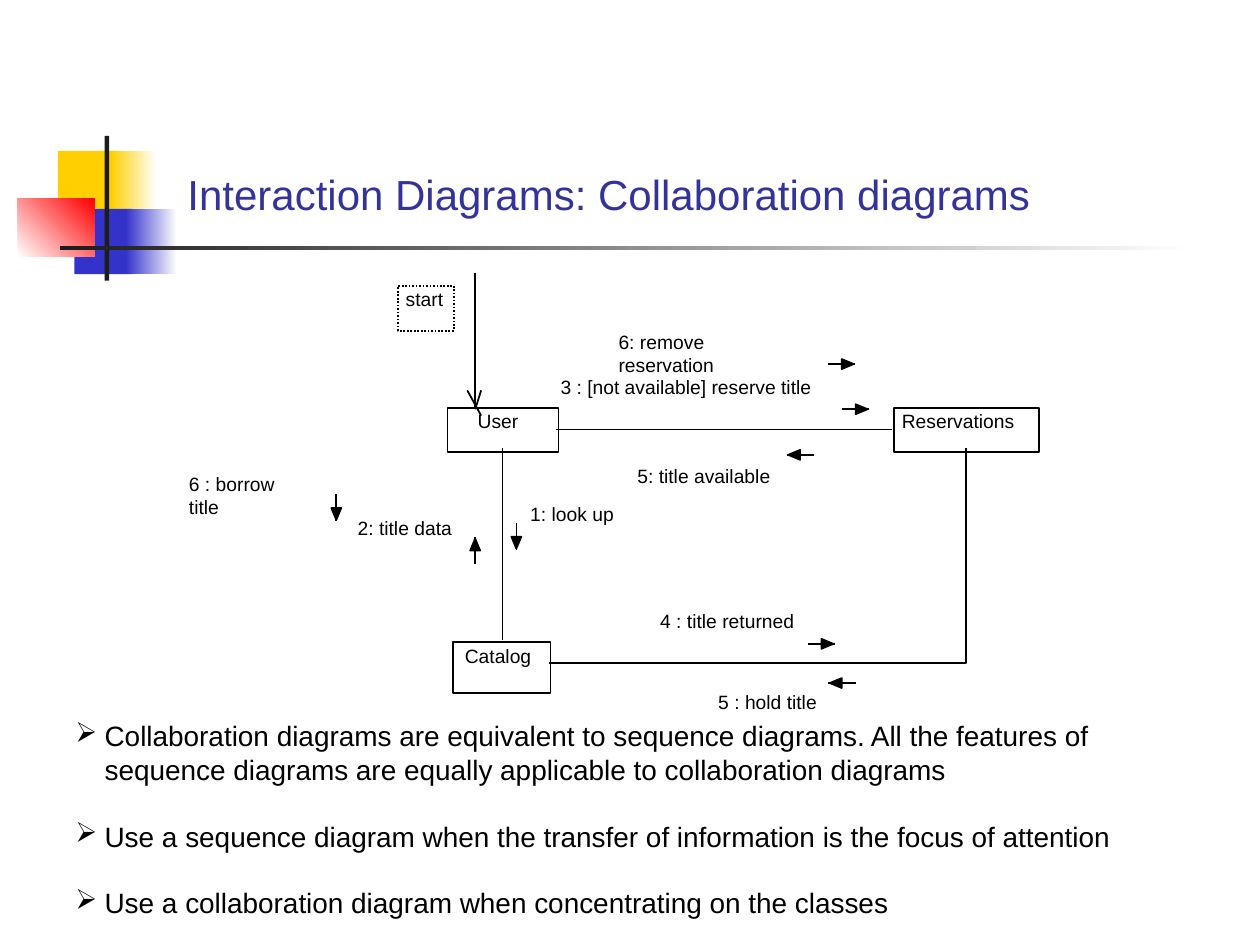
from lxml.etree import SubElement
from pptx import Presentation
from pptx.dml.color import RGBColor
from pptx.enum.dml import MSO_LINE
from pptx.enum.shapes import MSO_CONNECTOR, MSO_SHAPE
from pptx.enum.text import MSO_ANCHOR, PP_ALIGN
from pptx.oxml.ns import qn
from pptx.util import Cm, Pt

BLACK = RGBColor(0x00, 0x00, 0x00)
WHITE = RGBColor(0xFF, 0xFF, 0xFF)
YELLOW = RGBColor(0xFF, 0xCF, 0x01)
BLUE = RGBColor(0x33, 0x33, 0xCC)
RED = RGBColor(0xFF, 0x00, 0x00)
CHARCOAL = RGBColor(0x1C, 0x1C, 0x1C)
NAVY = RGBColor(0x33, 0x33, 0x99)

RIGHT, LEFT, DOWN, UP = (1, 0), (-1, 0), (0, 1), (0, -1)

ORNAMENTS = [
    (0.81, 0.3, 1.22, 1.32, YELLOW, None),
    (1.88, 0.3, 0.91, 1.32, YELLOW, 180),
    (1.14, 1.47, 1.17, 1.32, BLUE, None),
    (2.18, 1.47, 1.02, 1.32, BLUE, 180),
    (0, 1.27, 1.55, 1.17, RED, 45),
    (1.75, 0, 0.09, 2.92, CHARCOAL, None),
    (0.86, 2.21, 22.86, 0.09, CHARCOAL, 180),
]
NODES = [
    ("User", 5.21, 2.72, 2.24, 0.89, 0.61, MSO_LINE.SOLID),
    ("Catalog", 5.33, 7.44, 1.96, 1.02, 0.23, MSO_LINE.SOLID),
    ("Reservations", 14.22, 2.72, 2.92, 0.89, 0.15, MSO_LINE.SOLID),
    ("start", 4.22, 0.25, 1.12, 0.91, 0.15, MSO_LINE.ROUND_DOT),
]
LINKS = [
    ((5.77, 0), (5.77, 2.74)),
    ((5.61, 2.36), (5.89, 2.87)),
    ((5.89, 2.36), (5.77, 2.74)),
    ((6.32, 3.53), (6.32, 7.39)),
    ((7.39, 3.15), (14.17, 3.15)),
]
CATALOG_TO_RESERVATIONS = [(7.26, 7.85), (15.67, 7.85), (15.67, 3.53)]
MESSAGES = [
    ("1: look up", 6.88, 4.62, 1.7, (6.6, 5.03), DOWN),
    ("2: title data", 3.4, 4.9, 1.91, (5.77, 5.87), UP),
    ("3 : [not available] reserve title", 7.49, 2.06, 5.08, (13.16, 2.74), RIGHT),
    ("4 : title returned", 9.5, 6.78, 2.72, (12.47, 7.47), RIGHT),
    ("5 : hold title", 10.67, 8.41, 2.01, (13.44, 8.26), LEFT),
    ("6 : borrow title", 0, 4.01, 2.44, (2.97, 4.45), DOWN),
    ("6: remove reservation", 8.66, 1.14, 3.76, (12.88, 1.83), RIGHT),
    ("5: title available", 9.04, 3.84, 2.69, (12.6, 3.66), LEFT),
]
POINTS = [
    "Collaboration diagrams are equivalent to sequence diagrams. All the features of "
    "sequence diagrams are equally applicable to collaboration diagrams",
    "Use a sequence diagram when the transfer of information is the focus of attention",
    "Use a collaboration diagram when concentrating on the classes",
]


def apply(target, values):
    """Set every attribute named in values on the target."""
    for name, value in values.items():
        setattr(target, name, value)


def set_frame(frame, margins=(0, 0, 0, 0), anchor=MSO_ANCHOR.TOP, wrap=True):
    """Set margins (left, top, right, bottom), anchor and wrapping of a frame."""
    left, top, right, bottom = map(Cm, margins)
    apply(frame, {"margin_left": left, "margin_top": top, "margin_right": right,
                  "margin_bottom": bottom, "vertical_anchor": anchor, "word_wrap": wrap})


def write(para, text, size, color=BLACK):
    """Write one left-aligned span in a paragraph."""
    para.alignment = PP_ALIGN.LEFT
    span = para.add_run()
    span.text = text
    apply(span.font, {"name": "Arial", "size": Pt(size)})
    span.font.color.rgb = color


def set_line(item):
    """Give a shape or connector the thin black line."""
    item.line.color.rgb = BLACK
    item.line.width = Pt(1)


def add_box(page, left, top, width, height):
    """Add a plain rectangle without a shadow."""
    box = page.shapes.add_shape(MSO_SHAPE.RECTANGLE, Cm(left), Cm(top), Cm(width), Cm(height))
    box.shadow.inherit = False
    return box


def add_line(page, start, end):
    """Add a straight black line between two points."""
    line = page.shapes.add_connector(MSO_CONNECTOR.STRAIGHT, *map(Cm, start + end))
    set_line(line)
    SubElement(line._element.spPr, qn("a:effectLst"))


def add_outline(page, points, close):
    """Add a black outline, filled when it is closed."""
    corners = [(Cm(x), Cm(y)) for x, y in points]
    builder = page.shapes.build_freeform(*corners[0])
    builder.add_line_segments(corners[1:], close=close)
    outline = builder.convert_to_shape()
    outline.shadow.inherit = False
    set_line(outline)
    if close:
        outline.fill.solid()
        outline.fill.fore_color.rgb = BLACK
    else:
        outline.fill.background()


def add_arrow(page, tail, direction):
    """Add a short message arrow with a solid head."""
    (x, y), (dx, dy) = tail, direction

    def along(distance, side=0):
        """Return the point at a distance along the arrow and to its side."""
        return x + dx * distance - dy * side, y + dy * distance + dx * side

    add_line(page, tail, along(0.55))
    add_outline(page, [along(0.28, -0.1), along(0.52), along(0.28, 0.1)], True)


def add_ornament(page, box):
    """Draw the coloured squares and crossing bars."""
    for left, top, width, height, color, angle in ORNAMENTS:
        block = add_box(page, box[0] + left, box[1] + top, width, height)
        block.line.fill.background()
        if angle is None:
            block.fill.solid()
            block.fill.fore_color.rgb = color
        else:
            block.fill.gradient()
            block.fill.gradient_angle = angle
            for stop, shade in zip(block.fill.gradient_stops, (WHITE, color)):
                stop.color.rgb = shade


def add_title(page, box):
    """Write the slide title at the bottom of its box."""
    frame = page.shapes.add_textbox(*map(Cm, box)).text_frame
    set_frame(frame, (0.6, 0.13, 0.25, 0.23), MSO_ANCHOR.BOTTOM)
    write(frame.paragraphs[0], "Interaction Diagrams: Collaboration diagrams", 24, NAVY)


def add_diagram(page, box):
    """Draw the collaboration diagram of objects, links and messages."""
    def place(point):
        """Move a point of the diagram onto the page."""
        return box[0] + point[0], box[1] + point[1]

    for name, left, top, width, height, inset, dash in NODES:
        node = add_box(page, *place((left, top)), width, height)
        node.fill.solid()
        node.fill.fore_color.rgb = WHITE
        set_line(node)
        node.line.dash_style = dash
        set_frame(node.text_frame, (inset, 0.03, 0, 0))
        write(node.text_frame.paragraphs[0], name, 11)
    for start, end in LINKS:
        add_line(page, place(start), place(end))
    add_outline(page, [place(point) for point in CATALOG_TO_RESERVATIONS], False)
    for text, left, top, width, tail, direction in MESSAGES:
        x, y = place((left, top))
        label = page.shapes.add_textbox(Cm(x), Cm(y), Cm(width), Cm(0.46))
        set_frame(label.text_frame, wrap=False)
        write(label.text_frame.paragraphs[0], text, 11)
        add_arrow(page, place(tail), direction)


def add_points(page, box):
    """Write the bulleted remarks below the diagram."""
    frame = page.shapes.add_textbox(*map(Cm, box)).text_frame
    set_frame(frame, (0.25, 0.13, 0.25, 0.13), MSO_ANCHOR.MIDDLE)
    for index, text in enumerate(POINTS):
        para = frame.add_paragraph() if index else frame.paragraphs[0]
        layout = para._p.get_or_add_pPr()
        layout.set("marL", str(Cm(0.59)))
        layout.set("indent", str(-Cm(0.59)))
        color = SubElement(layout, qn("a:buClr"))
        SubElement(color, qn("a:srgbClr")).set("val", str(BLACK))
        SubElement(layout, qn("a:buChar")).set("char", "➢")
        if index:
            para.space_before = Pt(19)
        write(para, text, 16)


def main():
    """Build the slide and save it."""
    deck = Presentation()
    apply(deck, {"slide_width": Cm(25.4), "slide_height": Cm(19.05)})
    page = deck.slides.add_slide(deck.slide_layouts[6])
    add_ornament(page, (0.36, 2.74))
    add_title(page, (3.18, 2.74, 21.64, 1.91))
    add_diagram(page, (3.81, 5.51))
    add_points(page, (1.27, 14.61, 23.5, 3.81))
    deck.save("out.pptx")


if __name__ == "__main__":
    main()
